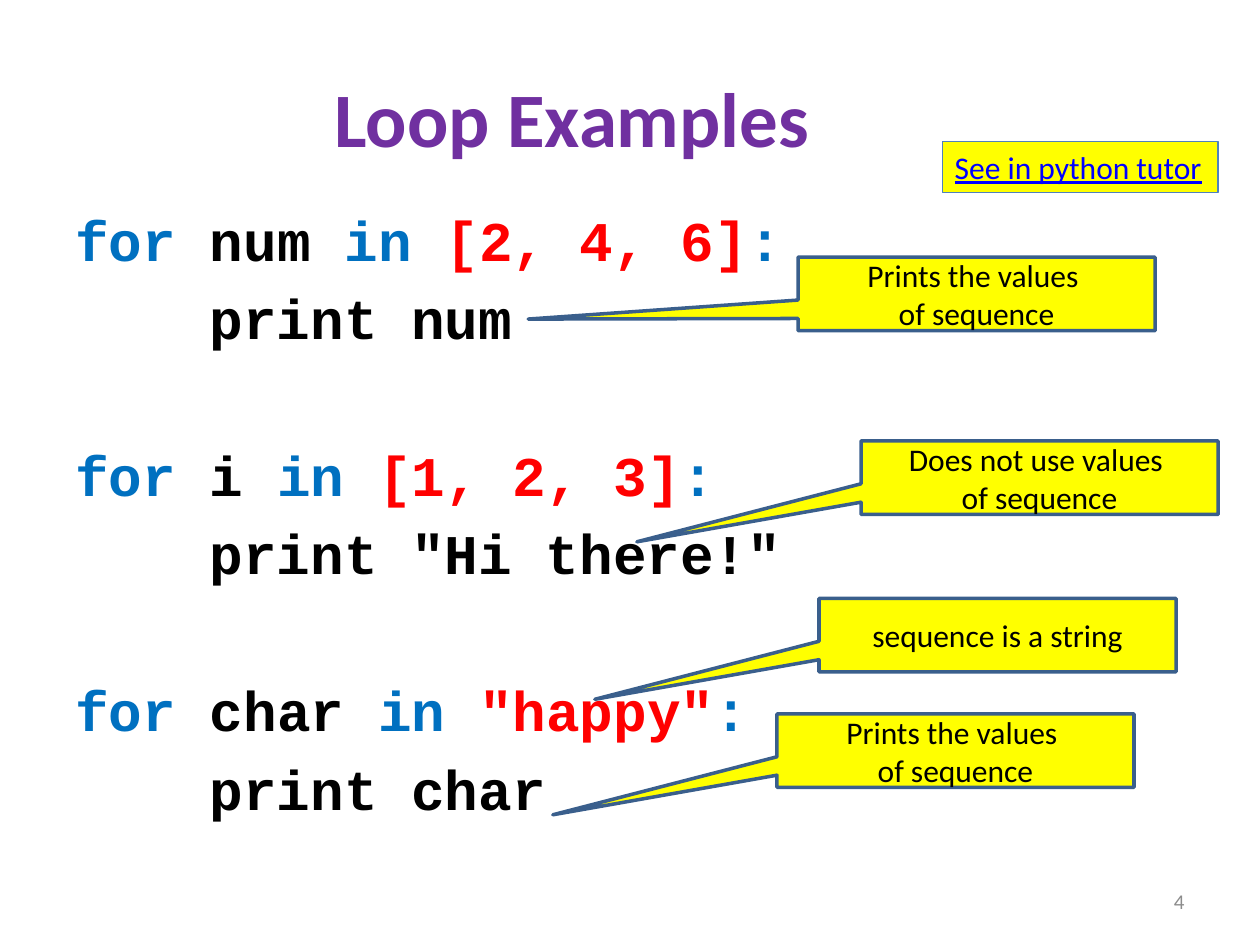
"""Build the "Loop Examples" slide with code and callouts."""
from pptx import Presentation
from pptx.dml.color import RGBColor
from pptx.enum import shapes, text
from pptx.util import Pt

COLORS = {
    "title": "7030A0", "keyword": "0070C0", "plain": "000000",
    "value": "FF0000", "note": "FFFF00", "note_line": "3A5F8C",
    "link": "0000FF", "link_line": "4F81BD", "number": "8C8C8C",
}
CODE_GAP = 6.4
CODE_LINE = 38.4
BLOCK_GAP = CODE_LINE + 2 * CODE_GAP
LOOPS = [
    ("num", "[2, 4, 6]", "num"),
    ("i", "[1, 2, 3]", '"Hi there!"'),
    ("char", '"happy"', "char"),
]
CALLOUTS = [
    (468, 342, (-1.128, 0.872), "sequence is a string"),
    (492, 252, (-1.128, 0.872), "Does not use values \nof sequence"),
    (456, 147, (-1.256, 0.342), "Prints the values \nof sequence"),
    (444, 408, (-1.128, 0.872), "Prints the values \nof sequence"),
]


def rgb(name):
    return RGBColor.from_string(COLORS[name])


def add_text(para, words, color="plain", size=18, font="Calibri", bold=False, underline=False):
    for index, line in enumerate(words.split("\n")):
        if index:
            para.add_line_break()
        span = para.add_run()
        span.text = line
        span.font.name = font
        span.font.size = Pt(size)
        span.font.bold = bold
        span.font.underline = underline
        span.font.color.rgb = rgb(color)


def paint(box, fill, line, width):
    box.fill.solid()
    box.fill.fore_color.rgb = rgb(fill)
    box.line.color.rgb = rgb(line)
    box.line.width = Pt(width)


def add_box(page, left, top, width, height, wrap=True):
    box = page.shapes.add_textbox(Pt(left), Pt(top), Pt(width), Pt(height))
    box.text_frame.word_wrap = wrap
    return box


def add_title(page, words):
    title = page.shapes.title
    title.left, title.top, title.width, title.height = Pt(30), Pt(21.6), Pt(594), Pt(90)
    title.text_frame.vertical_anchor = text.MSO_ANCHOR.MIDDLE
    para = title.text_frame.paragraphs[0]
    para.alignment = text.PP_ALIGN.CENTER
    add_text(para, words, color="title", size=44, bold=True)


def add_code_line(para, spans, gap):
    para.space_before = Pt(gap)
    for words, color in spans:
        add_text(para, words, color=color, size=32, font="Courier New", bold=True)


def add_code(page):
    frame = add_box(page, 36, 113.76, 648, 368.64).text_frame
    for index, (variable, sequence, printed) in enumerate(LOOPS):
        para = frame.add_paragraph() if index else frame.paragraphs[0]
        header = [("for ", "keyword"), (f"{variable} ", "plain"), ("in ", "keyword"),
                  (sequence, "value"), (":", "keyword")]
        add_code_line(para, header, BLOCK_GAP if index else 0)
        add_code_line(frame.add_paragraph(), [(f"    print {printed}", "plain")], CODE_GAP)


def add_callout(page, left, top, tip, words):
    box = page.shapes.add_shape(
        shapes.MSO_SHAPE.RECTANGULAR_CALLOUT, Pt(left), Pt(top), Pt(204), Pt(42))
    box.shadow.inherit = False
    box.adjustments[0], box.adjustments[1] = tip
    paint(box, "note", "note_line", 2)
    box.text_frame.vertical_anchor = text.MSO_ANCHOR.MIDDLE
    para = box.text_frame.paragraphs[0]
    para.alignment = text.PP_ALIGN.CENTER
    add_text(para, words)


def add_label(page, words):
    box = add_box(page, 538.5, 81, 157.5, 29.1, wrap=False)
    box.text_frame.auto_size = text.MSO_AUTO_SIZE.SHAPE_TO_FIT_TEXT
    paint(box, "note", "link_line", 0.75)
    add_text(box.text_frame.paragraphs[0], words, color="link", underline=True)


def add_page_number(page, words):
    frame = add_box(page, 516, 500.5, 168, 28.75).text_frame
    frame.vertical_anchor = text.MSO_ANCHOR.MIDDLE
    frame.paragraphs[0].alignment = text.PP_ALIGN.RIGHT
    add_text(frame.paragraphs[0], words, color="number", size=12)


def main():
    deck = Presentation()
    deck.slide_width, deck.slide_height = Pt(720), Pt(540)
    page = deck.slides.add_slide(deck.slide_layouts.get_by_name("Title Only"))
    add_title(page, "Loop Examples")
    add_code(page)
    add_page_number(page, "4")
    for callout in CALLOUTS:
        add_callout(page, *callout)
    add_label(page, "See in python tutor")
    deck.save("out.pptx")


if __name__ == "__main__":
    main()
